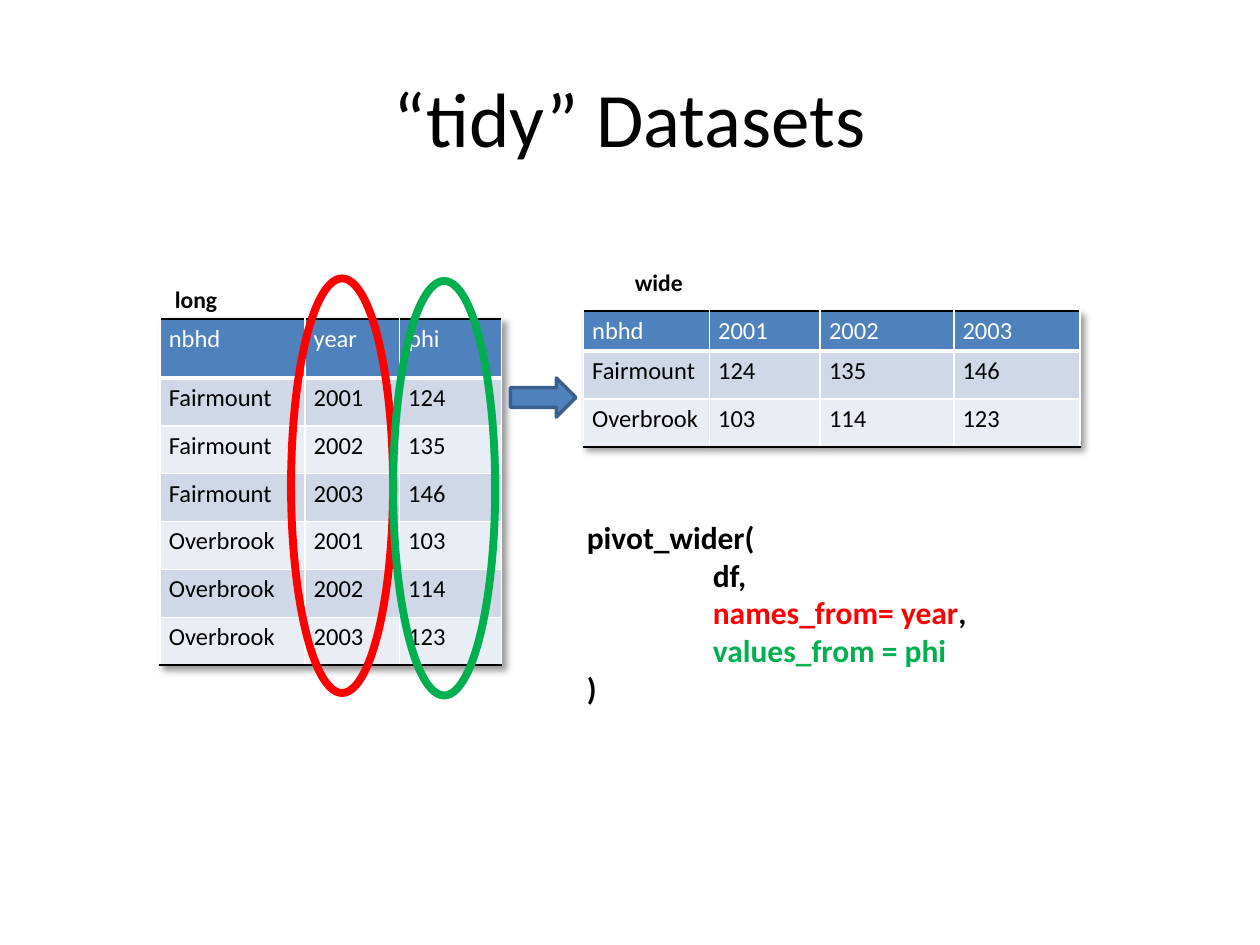
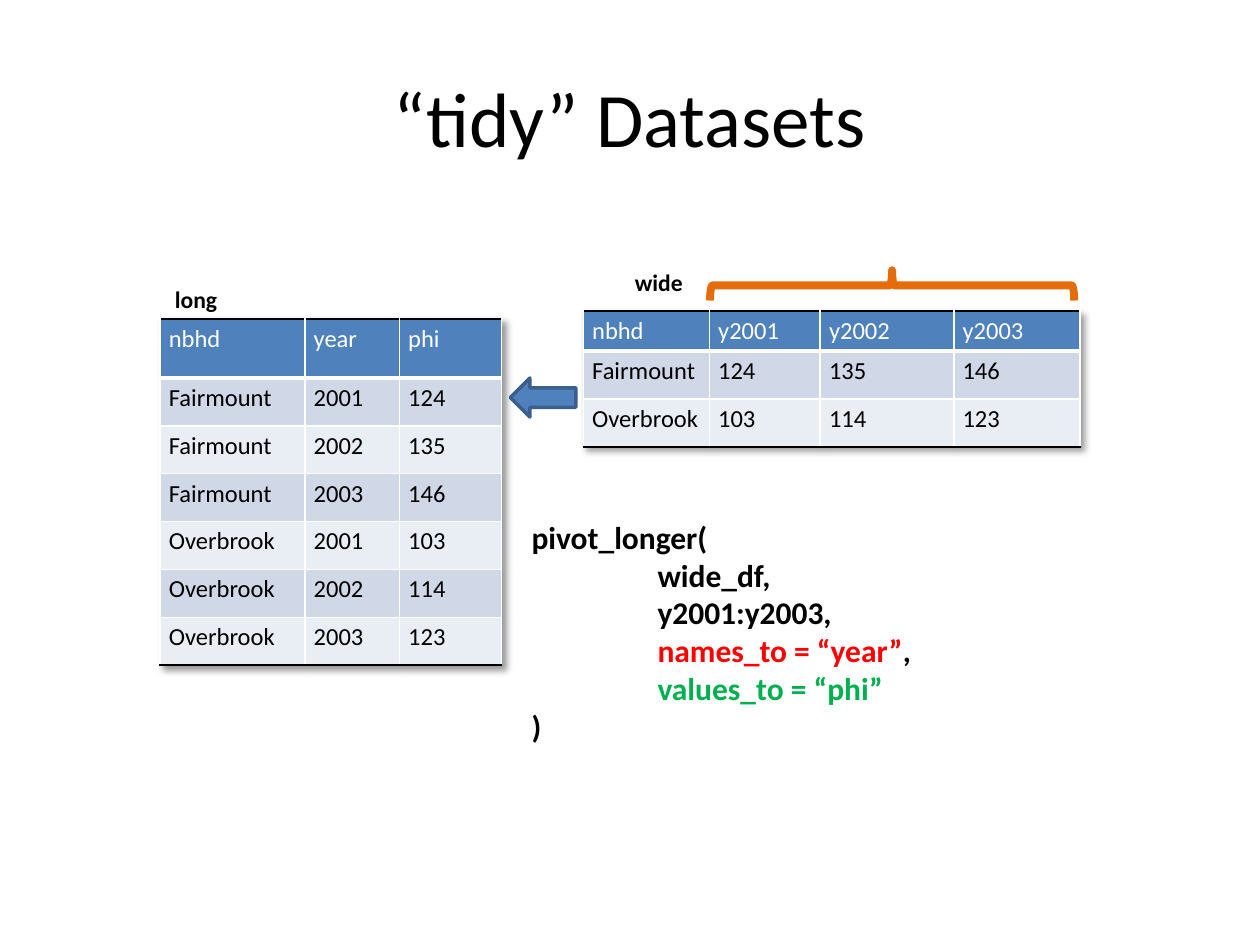
from lxml import etree
from pptx import Presentation
from pptx.dml.color import RGBColor
from pptx.enum.shapes import MSO_SHAPE
from pptx.enum.text import MSO_ANCHOR, PP_ALIGN
from pptx.oxml import parse_xml
from pptx.util import Inches, Pt

ARROW, ELLIPSE, BRACE = MSO_SHAPE.RIGHT_ARROW, MSO_SHAPE.OVAL, MSO_SHAPE.RIGHT_BRACE
MIDDLE, CENTER = MSO_ANCHOR.MIDDLE, PP_ALIGN.CENTER
FONT = "Calibri"
BLACK, WHITE, BLUE, DARK_BLUE = "000000", "FFFFFF", "4F81BD", "3A5F8C"
RED, GREEN, ORANGE = "FF0000", "00B050", "E46C0A"
BANDS = ["E9EDF4", "D0D8E8"]
NS = "http://schemas.openxmlformats.org/drawingml/2006/main"
SHADOW = (f'<a:effectLst xmlns:a="{NS}"><a:outerShdw blurRad="50800" dist="38100" '
          'dir="2700000" algn="tl" rotWithShape="0"><a:srgbClr val="000000">'
          '<a:alpha val="40000"/></a:srgbClr></a:outerShdw></a:effectLst>')

LONG = [["nbhd", "year", "phi"],
        ["Fairmount", "2001", "124"],
        ["Fairmount", "2002", "135"],
        ["Fairmount", "2003", "146"],
        ["Overbrook", "2001", "103"],
        ["Overbrook", "2002", "114"],
        ["Overbrook", "2003", "123"]]
WIDE_BODY = [["Fairmount", "124", "135", "146"],
             ["Overbrook", "103", "114", "123"]]

# Code lines are lists of (text, colour) runs; shapes are
# (preset, box, rotation, fill, line colour, line width).
SLIDES = [
    {"years": ["2001", "2002", "2003"],
     "code_box": (4.56, 4.06, 3.94, 1.62),
     "code": [[("pivot_wider(", BLACK)],
              [("df,", BLACK)],
              [("names_from= year", RED), (",", BLACK)],
              [("values_from = phi", GREEN)],
              [(")", BLACK)]],
     "shapes": [(ARROW, (4.05, 3, 0.52, 0.31), 0, BLUE, DARK_BLUE, 2),
                (ELLIPSE, (2.31, 2.21, 0.81, 3.29), 0, None, RED, 4.5),
                (ELLIPSE, (3.12, 2.23, 0.81, 3.29), 0, None, GREEN, 4.5)]},
    {"years": ["y2001", "y2002", "y2003"],
     "code_box": (4.12, 4.06, 4.62, 1.92),
     "code": [[("pivot_longer(", BLACK)],
              [("wide_df,", BLACK)],
              [("y2001:y2003,", BLACK)],
              [("names_to = “year”", RED), (",", BLACK)],
              [("values_to = “phi”", GREEN)],
              [(")", BLACK)]],
     "shapes": [(ARROW, (4.05, 3, 0.52, 0.31), 180, BLUE, DARK_BLUE, 2),
                (BRACE, (6.96, 0.82, 0.24, 2.89), 270, None, ORANGE, 4.5)]},
]


def rgb(value):
    """Turn a hex string into a colour."""
    return RGBColor.from_string(value)


def add_data_table(s, left, top, widths, header_height, rows):
    """Add a banded table with ruled top and bottom edges and a shadow."""
    heights = [header_height] + [0.38] * (len(rows) - 1)
    frame = s.shapes.add_table(len(rows), len(widths), Inches(left), Inches(top),
                               Inches(sum(widths)), Inches(sum(heights)))
    table = frame.table
    table.first_row = table.horz_banding = False
    table._tbl.tblPr.insert(0, parse_xml(SHADOW))
    for column, width in zip(table.columns, widths):
        column.width = Inches(width)
    for i, row in enumerate(rows):
        table.rows[i].height = Inches(heights[i])
        header, last = i == 0, i == len(rows) - 1
        borders = [("lnL", WHITE, 1), ("lnR", WHITE, 1),
                   ("lnT", BLACK if header else WHITE, 1),
                   ("lnB", BLACK if last else WHITE, 3 if header else 1)]
        for j, text in enumerate(row):
            cell = table.cell(i, j)
            cell.margin_left = cell.margin_right = Inches(0.07)
            cell.margin_top = cell.margin_bottom = Inches(0.04)
            cell.fill.solid()
            cell.fill.fore_color.rgb = rgb(BLUE if header else BANDS[i % 2])
            p = cell.text_frame.paragraphs[0]
            p.text = text
            p.font.name, p.font.size = FONT, Pt(14)
            p.font.color.rgb = rgb(WHITE if header else BLACK)
            tc_pr = cell._tc.get_or_add_tcPr()
            for k, (tag, color, width) in enumerate(borders):
                line = etree.Element(f"{{{NS}}}{tag}", w=str(Pt(width)))
                fill = etree.SubElement(line, f"{{{NS}}}solidFill")
                etree.SubElement(fill, f"{{{NS}}}srgbClr", val=color)
                tc_pr.insert(k, line)


prs = Presentation()
prs.slide_width, prs.slide_height = Inches(10), Inches(7.5)

for content in SLIDES:
    s = prs.slides.add_slide(prs.slide_layouts[5])

    title = s.shapes.title
    title.left, title.top = Inches(0.5), Inches(0.3)
    title.width, title.height = Inches(9), Inches(1.25)
    title.text_frame.vertical_anchor = MIDDLE
    p = title.text_frame.paragraphs[0]
    p.text = "“tidy” Datasets"
    p.alignment = CENTER
    p.font.name, p.font.size = FONT, Pt(44)
    p.font.color.rgb = rgb(BLACK)

    add_data_table(s, 1.27, 2.53, [1.15, 0.75, 0.81], 0.47, LONG)
    add_data_table(s, 4.63, 2.47, [1, 0.88, 1.06, 1], 0.3,
                   [["nbhd"] + content["years"]] + WIDE_BODY)

    for text, box in [("long", (1.29, 2.21, 0.54, 0.33)),
                      ("wide", (4.94, 2.08, 0.59, 0.33))]:
        tf = s.shapes.add_textbox(*map(Inches, box)).text_frame
        tf.word_wrap = False
        p = tf.paragraphs[0]
        p.text = text
        p.font.name, p.font.size, p.font.bold = FONT, Pt(13.5), True
        p.font.color.rgb = rgb(BLACK)

    tf = s.shapes.add_textbox(*map(Inches, content["code_box"])).text_frame
    tf.word_wrap = True
    code = content["code"]
    for i, runs in enumerate(code):
        p = tf.paragraphs[0] if i == 0 else tf.add_paragraph()
        p.font.name, p.font.size, p.font.bold = FONT, Pt(18), True
        if 0 < i < len(code) - 1:  # arguments are indented
            p._p.get_or_add_pPr().set("marL", str(Inches(1)))
        for text, color in runs:
            r = p.add_run()
            r.text = text
            r.font.color.rgb = rgb(color)

    for preset, box, rotation, fill, line, width in content["shapes"]:
        sp = s.shapes.add_shape(preset, *map(Inches, box))
        sp.shadow.inherit = False
        sp.rotation = rotation
        if fill:
            sp.fill.solid()
            sp.fill.fore_color.rgb = rgb(fill)
        else:
            sp.fill.background()
        sp.line.color.rgb = rgb(line)
        sp.line.width = Pt(width)

prs.save("out.pptx")
